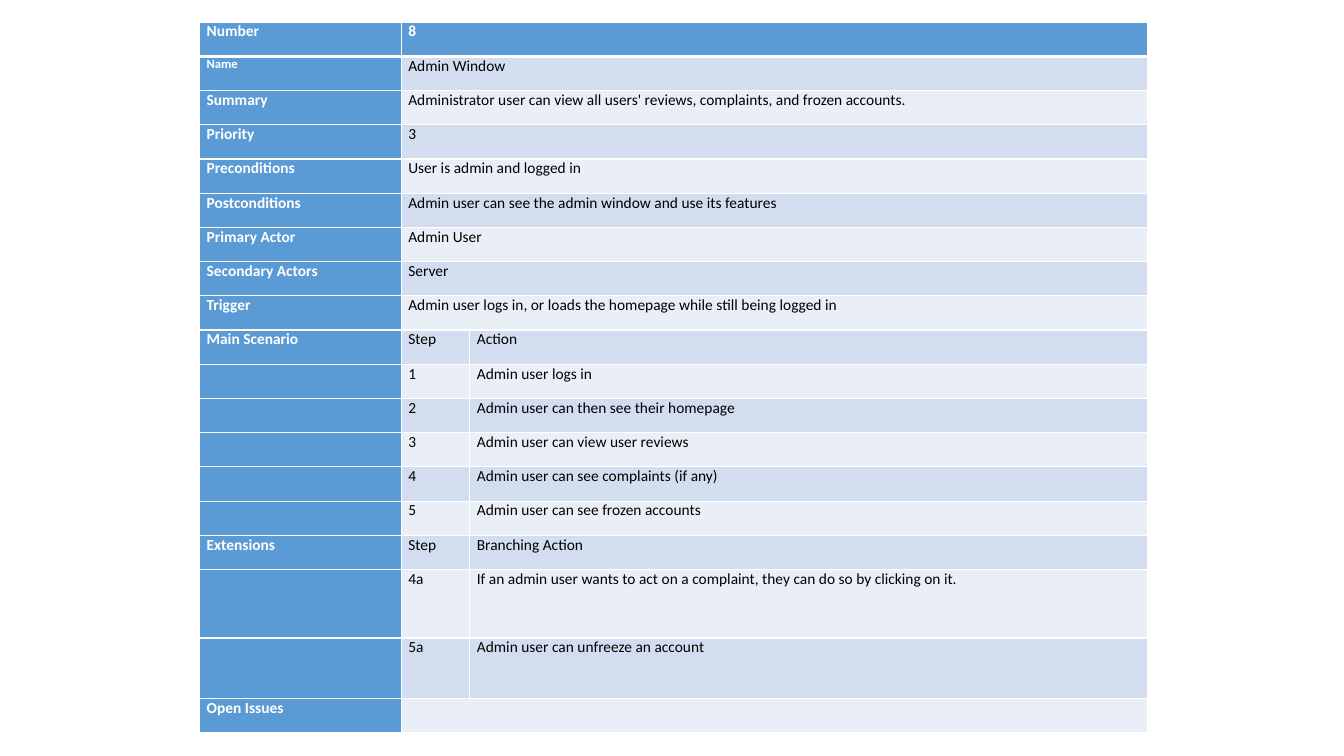
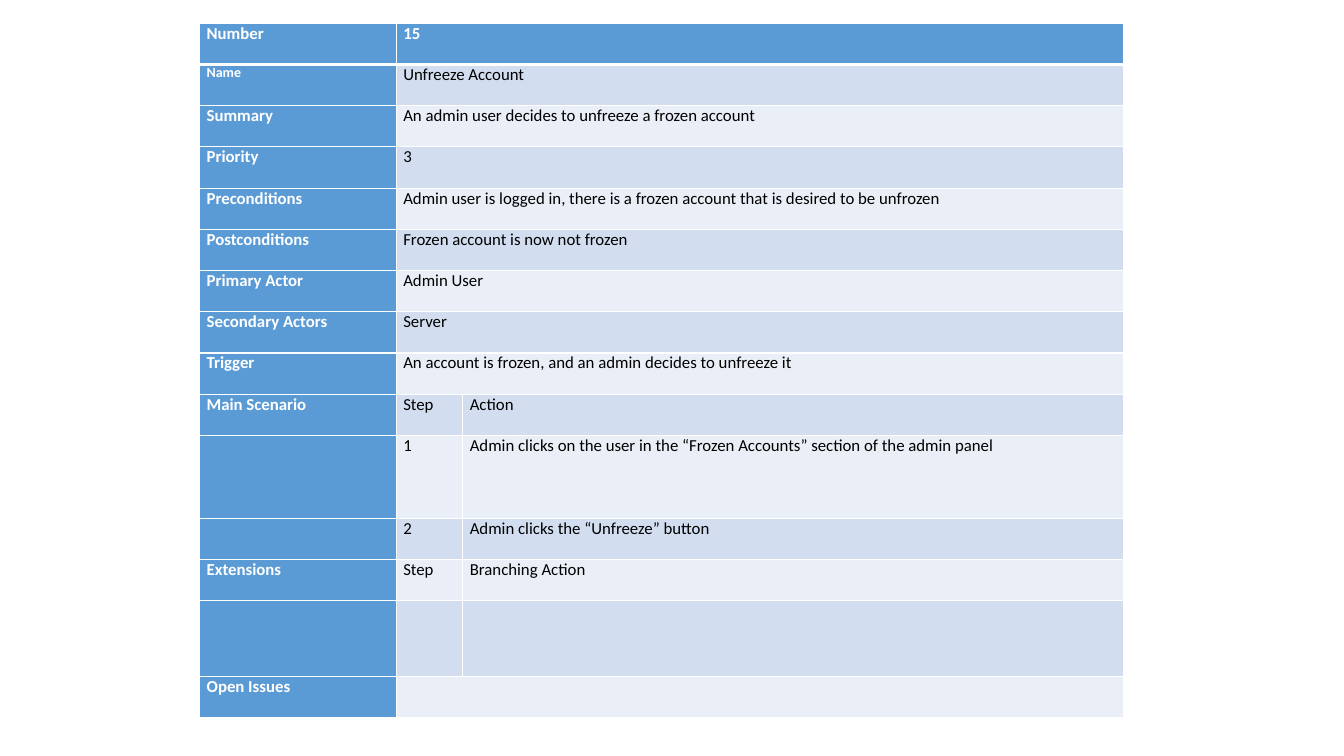
import dataclasses

import lxml.etree
import pptx
import pptx.dml.color
import pptx.oxml.ns
import pptx.util

Inches = pptx.util.Inches


@dataclasses.dataclass(frozen=True)
class Theme:
    font: str = "Calibri"
    label_fill: str = "5B9BD5"
    bands: tuple = ("EAEFF7", "D2DEEF")
    label_text: str = "FFFFFF"
    body_text: str = "000000"
    border: str = "FFFFFF"
    thin: int = 1
    thick: int = 3
    side_inset: float = 0.07
    small_step: int = 2  # points by which the "Name" label is smaller


THEME = Theme()


@dataclasses.dataclass(frozen=True)
class UseCase:
    place: tuple  # left, top, width, height
    columns: tuple
    tall_rows: dict  # row index: height
    text_size: int
    rows: tuple  # (label, value) or (label, step, action)


ADMIN_WINDOW = UseCase(
    place=(1.98, 0.22, 9.39, 7.05),
    columns=(2, 0.68, 6.72),
    tall_rows={16: 0.68, 17: 0.6},
    text_size=11,
    rows=(
        ("Number", "8"),
        ("Name", "Admin Window"),
        ("Summary", "Administrator user can view all users' reviews, complaints, and frozen accounts."),
        ("Priority", "3"),
        ("Preconditions", "User is admin and logged in"),
        ("Postconditions", "Admin user can see the admin window and use its features"),
        ("Primary Actor", "Admin User"),
        ("Secondary Actors", "Server"),
        ("Trigger", "Admin user logs in, or loads the homepage while still being logged in"),
        ("Main Scenario", "Step", "Action"),
        ("", "1", "Admin user logs in"),
        ("", "2", "Admin user can then see their homepage"),
        ("", "3", "Admin user can view user reviews"),
        ("", "4", "Admin user can see complaints (if any)"),
        ("", "5", "Admin user can see frozen accounts"),
        ("Extensions", "Step", "Branching Action"),
        ("", "4a", "If an admin user wants to act on a complaint, they can do so by clicking on it."),
        ("", "5a", "Admin user can unfreeze an account"),
        ("Open Issues", ""),
    ),
)

UNFREEZE_ACCOUNT = UseCase(
    place=(1.98, 0.23, 9.16, 6.89),
    columns=(1.95, 0.66, 6.55),
    tall_rows={10: 0.82, 13: 0.75},
    text_size=12,
    rows=(
        ("Number", "15"),
        ("Name", "Unfreeze Account"),
        ("Summary", "An admin user decides to unfreeze a frozen account"),
        ("Priority", "3"),
        ("Preconditions", "Admin user is logged in, there is a frozen account that is desired to be unfrozen"),
        ("Postconditions", "Frozen account is now not frozen"),
        ("Primary Actor", "Admin User"),
        ("Secondary Actors", "Server"),
        ("Trigger", "An account is frozen, and an admin decides to unfreeze it"),
        ("Main Scenario", "Step", "Action"),
        ("", "1", "Admin clicks on the user in the “Frozen Accounts” section of the admin panel"),
        ("", "2", "Admin clicks the “Unfreeze” button"),
        ("Extensions", "Step", "Branching Action"),
        ("", "", ""),
        ("Open Issues", ""),
    ),
)


def set_formats(target, formats):
    for name, value in formats.items():
        setattr(target, name, value)


def rgb(value):
    return pptx.dml.color.RGBColor.from_string(value)


def add_borders(cell, row_index):
    """Thin borders all round, with a thick line below the header row."""
    properties = cell._tc.get_or_add_tcPr()
    qn = pptx.oxml.ns.qn
    thick_side = {0: "B", 1: "T"}.get(row_index)
    for side in "LRTB":
        width = THEME.thick if side == thick_side else THEME.thin
        line = lxml.etree.SubElement(properties, qn(f"a:ln{side}"), w=str(pptx.util.Pt(width)))
        fill = lxml.etree.SubElement(line, qn("a:solidFill"))
        lxml.etree.SubElement(fill, qn("a:srgbClr"), val=THEME.border)


def style_cell(cell, row_index, is_label):
    set_formats(cell, {
        "margin_left": Inches(THEME.side_inset),
        "margin_right": Inches(THEME.side_inset),
        "margin_top": 0,
        "margin_bottom": 0,
    })
    add_borders(cell, row_index)
    cell.fill.solid()
    fill = THEME.label_fill if is_label else THEME.bands[row_index % 2]
    cell.fill.fore_color.rgb = rgb(fill)


def write_cell(cell, text, size, is_label):
    if not text:
        return
    span = cell.text_frame.paragraphs[0].add_run()
    span.text = text
    set_formats(span.font, {"name": THEME.font, "size": pptx.util.Pt(size), "bold": is_label})
    span.font.color.rgb = rgb(THEME.label_text if is_label else THEME.body_text)


def size_table(table, case):
    """Ordinary rows share the height that the tall rows leave over."""
    for column, width in zip(table.columns, case.columns):
        column.width = Inches(width)
    ordinary_count = len(case.rows) - len(case.tall_rows)
    ordinary = (case.place[3] - sum(case.tall_rows.values())) / ordinary_count
    for index, row in enumerate(table.rows):
        row.height = Inches(case.tall_rows.get(index, ordinary))


def add_use_case(deck, case):
    page = deck.slides.add_slide(deck.slide_layouts[6])
    frame = page.shapes.add_table(len(case.rows), len(case.columns), *map(Inches, case.place))
    table = frame.table
    set_formats(table, {"first_row": True, "first_col": True, "horz_banding": False})
    size_table(table, case)

    for row_index, texts in enumerate(case.rows):
        for column_index in range(len(case.columns)):
            is_label = row_index == 0 or column_index == 0
            style_cell(table.cell(row_index, column_index), row_index, is_label)
        # A single value spans the step and action columns
        if len(texts) == 2:
            table.cell(row_index, 1).merge(table.cell(row_index, 2))
        for column_index, text in enumerate(texts):
            is_label = row_index == 0 or column_index == 0
            size = case.text_size - (THEME.small_step if text == "Name" else 0)
            write_cell(table.cell(row_index, column_index), text, size, is_label)


def main():
    deck = pptx.Presentation()
    set_formats(deck, {"slide_width": Inches(13.33), "slide_height": Inches(7.5)})
    for case in (ADMIN_WINDOW, UNFREEZE_ACCOUNT):
        add_use_case(deck, case)
    deck.save("out.pptx")


if __name__ == "__main__":
    main()
